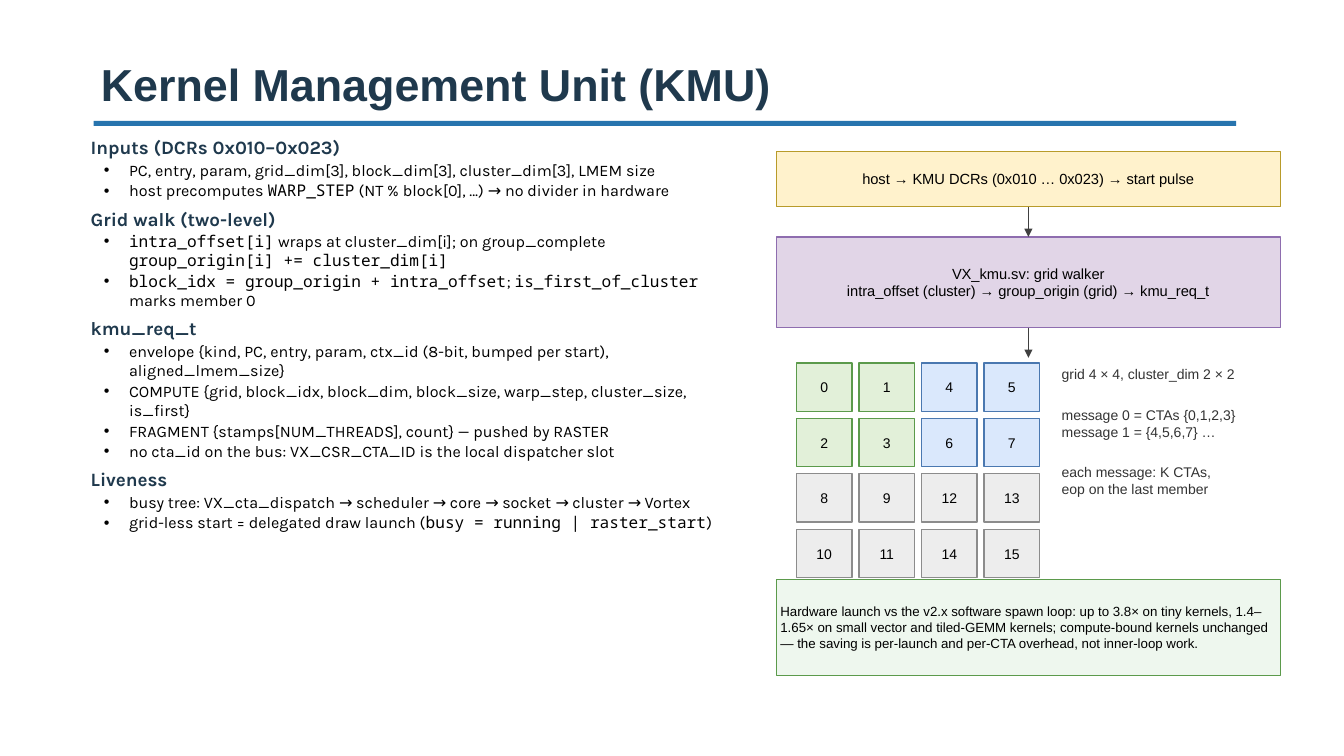
from lxml.etree import SubElement
from pptx import Presentation
from pptx.dml.color import RGBColor
from pptx.enum.shapes import MSO_CONNECTOR, MSO_SHAPE
from pptx.enum.text import MSO_ANCHOR, MSO_AUTO_SIZE, PP_ALIGN
from pptx.oxml.ns import qn
from pptx.util import Inches, Pt

COLORS = {
    "navy": "1F394D", "rule": "2774AE", "black": "000000",
    "note": "333333", "arrow": "404040",
}
# fill and line of each kind of box
STYLES = {
    "host": ("FFF2CC", "B89B2A"),
    "walker": ("E1D5E7", "8E6DAF"),
    "green": ("E2F0D9", "5B9A4B"),
    "blue": ("DAE8FC", "4A78B0"),
    "gray": ("EDEDED", "8C8C8C"),
    "result": ("EEF7EE", "5B9A4B"),
}

# Backticks enclose code
SECTIONS = [
    ("Inputs (DCRs 0x010–0x023)", [
        "PC, entry, param, grid_dim[3], block_dim[3], cluster_dim[3], LMEM size",
        "host precomputes `WARP_STEP` (NT % block[0], …) → no divider in hardware",
    ]),
    ("Grid walk (two-level)", [
        "`intra_offset[i]` wraps at cluster_dim[i]; on group_complete "
        "`group_origin[i] += cluster_dim[i]`",
        "`block_idx = group_origin + intra_offset`; `is_first_of_cluster` marks member 0",
    ]),
    ("kmu_req_t", [
        "envelope {kind, PC, entry, param, ctx_id (8-bit, bumped per start), "
        "aligned_lmem_size}",
        "COMPUTE {grid, block_idx, block_dim, block_size, warp_step, cluster_size, "
        "is_first}",
        "FRAGMENT {stamps[NUM_THREADS], count} — pushed by RASTER",
        "no cta_id on the bus: VX_CSR_CTA_ID is the local dispatcher slot",
    ]),
    ("Liveness", [
        "busy tree: VX_cta_dispatch → scheduler → core → socket → cluster → Vortex",
        "grid-less start = delegated draw launch (`busy = running | raster_start`)",
    ]),
]
NOTES = [
    ["grid 4 × 4, cluster_dim 2 × 2"],
    ["message 0 = CTAs {0,1,2,3}", "message 1 = {4,5,6,7} …"],
    ["each message: K CTAs,", "eop on the last member"],
]
RESULT = (
    "Hardware launch vs the v2.x software spawn loop: up to 3.8× on tiny kernels, "
    "1.4–1.65× on small vector and tiled-GEMM kernels; compute-bound kernels "
    "unchanged — the saving is per-launch and per-CTA overhead, not inner-loop work."
)


def rgb(value):
    return RGBColor.from_string(value)


def set_font(font, size, color, name="Arial", bold=False):
    font.name, font.size, font.bold = name, Pt(size), bold
    font.color.rgb = rgb(color)


def place(shape, left, top, width, height):
    shape.left, shape.top = Inches(left), Inches(top)
    shape.width, shape.height = Inches(width), Inches(height)


def add_para(frame, first):
    return frame.paragraphs[0] if first else frame.add_paragraph()


def add_title(slide, left, top, width, height):
    title = slide.shapes.title
    place(title, left, top, width, height)
    frame = title.text_frame
    frame.text = "Kernel Management Unit (KMU)"
    frame.vertical_anchor = MSO_ANCHOR.BOTTOM
    frame.auto_size = MSO_AUTO_SIZE.NONE
    para = frame.paragraphs[0]
    para.alignment = PP_ALIGN.LEFT
    set_font(para.font, 32, COLORS["navy"], bold=True)

    rule = slide.shapes.add_shape(
        MSO_SHAPE.RECTANGLE, Inches(left + 0.03), Inches(top + height + 0.05),
        Inches(11.33), Inches(0.05))
    rule.shadow.inherit = False
    rule.fill.solid()
    rule.fill.fore_color.rgb = rgb(COLORS["rule"])
    rule.line.fill.background()


def set_bullet(para, char=None):
    """Give the paragraph a hanging bullet, or none when char is missing."""
    props = para._p.get_or_add_pPr()
    props.set("marL", str(Inches(0.38) if char else 0))
    props.set("indent", str(Inches(-0.25) if char else 0))
    if char:
        SubElement(props, qn("a:buFont"), typeface="Arial")
        SubElement(props, qn("a:buChar"), char=char)
    else:
        SubElement(props, qn("a:buNone"))


def add_list(slide, left, top, width, height):
    body = slide.placeholders[1]
    place(body, left, top, width, height)
    frame = body.text_frame
    frame.auto_size = MSO_AUTO_SIZE.NONE
    for index, (head, items) in enumerate(SECTIONS):
        para = add_para(frame, index == 0)
        para.text = head
        para.space_before = Pt(5 if index else 0)
        set_bullet(para)
        set_font(para.font, 13.5, COLORS["navy"], "Karla", True)
        for item in items:
            para = frame.add_paragraph()
            para.level = 1
            para.space_before = Pt(1)
            set_bullet(para, "•")
            set_font(para.font, 11.5, COLORS["black"], "Karla")
            for part, text in enumerate(item.split("`")):
                if text:
                    run = para.add_run()
                    run.text = text
                    if part % 2:
                        run.font.name = "Noto Sans Mono"


def add_box(slide, left, top, width, height, style, lines, size=10.5,
            align=PP_ALIGN.CENTER):
    box = slide.shapes.add_shape(
        MSO_SHAPE.RECTANGLE, Inches(left), Inches(top), Inches(width), Inches(height))
    box.shadow.inherit = False
    fill, line = STYLES[style]
    box.fill.solid()
    box.fill.fore_color.rgb = rgb(fill)
    box.line.color.rgb = rgb(line)
    box.line.width = Pt(1)
    frame = box.text_frame
    frame.word_wrap = True
    frame.vertical_anchor = MSO_ANCHOR.MIDDLE
    frame.margin_left = frame.margin_right = Inches(0.04)
    frame.margin_top = frame.margin_bottom = Inches(0.02)
    for index, text in enumerate(lines):
        para = add_para(frame, index == 0)
        para.text = text
        para.alignment = align
        set_font(para.font, size, COLORS["black"])
    return box


def add_arrow(slide, start, end=None):
    """Point down from a box, to the next box or over a fixed length."""
    mid, low = start.left + start.width // 2, start.top + start.height
    arrow = slide.shapes.add_connector(
        MSO_CONNECTOR.STRAIGHT, mid, low, mid, low + Inches(0.3))
    arrow.begin_connect(start, 2)
    if end is not None:
        arrow.end_connect(end, 0)
    arrow.line.color.rgb = rgb(COLORS["arrow"])
    arrow.line.width = Pt(1.25)
    SubElement(arrow.line._get_or_add_ln(), qn("a:tailEnd"), type="triangle")
    SubElement(arrow._element.spPr, qn("a:effectLst"))


def add_grid(slide, left, top):
    """Number the CTAs cluster by cluster, in clusters of 2 × 2."""
    styles = ["green", "blue", "gray", "gray"]
    for row in range(4):
        for col in range(4):
            group = row // 2 * 2 + col // 2
            label = group * 4 + row % 2 * 2 + col % 2
            add_box(slide, left + col * 0.62, top + row * 0.55, 0.55, 0.48,
                    styles[group], [str(label)], 10)


def add_notes(slide, left, top, width, height):
    box = slide.shapes.add_textbox(
        Inches(left), Inches(top), Inches(width), Inches(height))
    frame = box.text_frame
    frame.word_wrap = True
    frame.margin_left = frame.margin_right = Inches(0.03)
    frame.margin_top = frame.margin_bottom = Inches(0.03)
    for block, lines in enumerate(NOTES):
        for index, text in enumerate(lines):
            para = add_para(frame, block == index == 0)
            para.text = text
            if block and index == 0:
                para.space_before = Pt(17)
            set_font(para.font, 10, COLORS["note"])


def add_flow(slide, left, top, width):
    host = add_box(slide, left, top, width, 0.55, "host",
                   ["host → KMU DCRs (0x010 … 0x023) → start pulse"])
    walker = add_box(slide, left, top + 0.85, width, 0.9, "walker", [
        "VX_kmu.sv: grid walker",
        "intra_offset (cluster) → group_origin (grid) → kmu_req_t"])
    add_arrow(slide, host, walker)
    add_arrow(slide, walker)
    add_grid(slide, left + 0.2, top + 2.1)
    add_notes(slide, left + 2.8, top + 2.1, 2.2, 2.2)
    add_box(slide, left, top + 4.25, width, 0.95, "result", [RESULT], 9.5,
            PP_ALIGN.LEFT)


def main():
    deck = Presentation()
    deck.slide_width, deck.slide_height = Inches(13.33), Inches(7.5)
    slide = deck.slides.add_slide(deck.slide_layouts[1])
    add_title(slide, 0.9, 0.25, 11.1, 0.9)
    add_list(slide, 0.8, 1.3, 6.6, 5.4)
    add_flow(slide, 7.7, 1.5, 5)
    deck.save("out.pptx")


if __name__ == "__main__":
    main()
